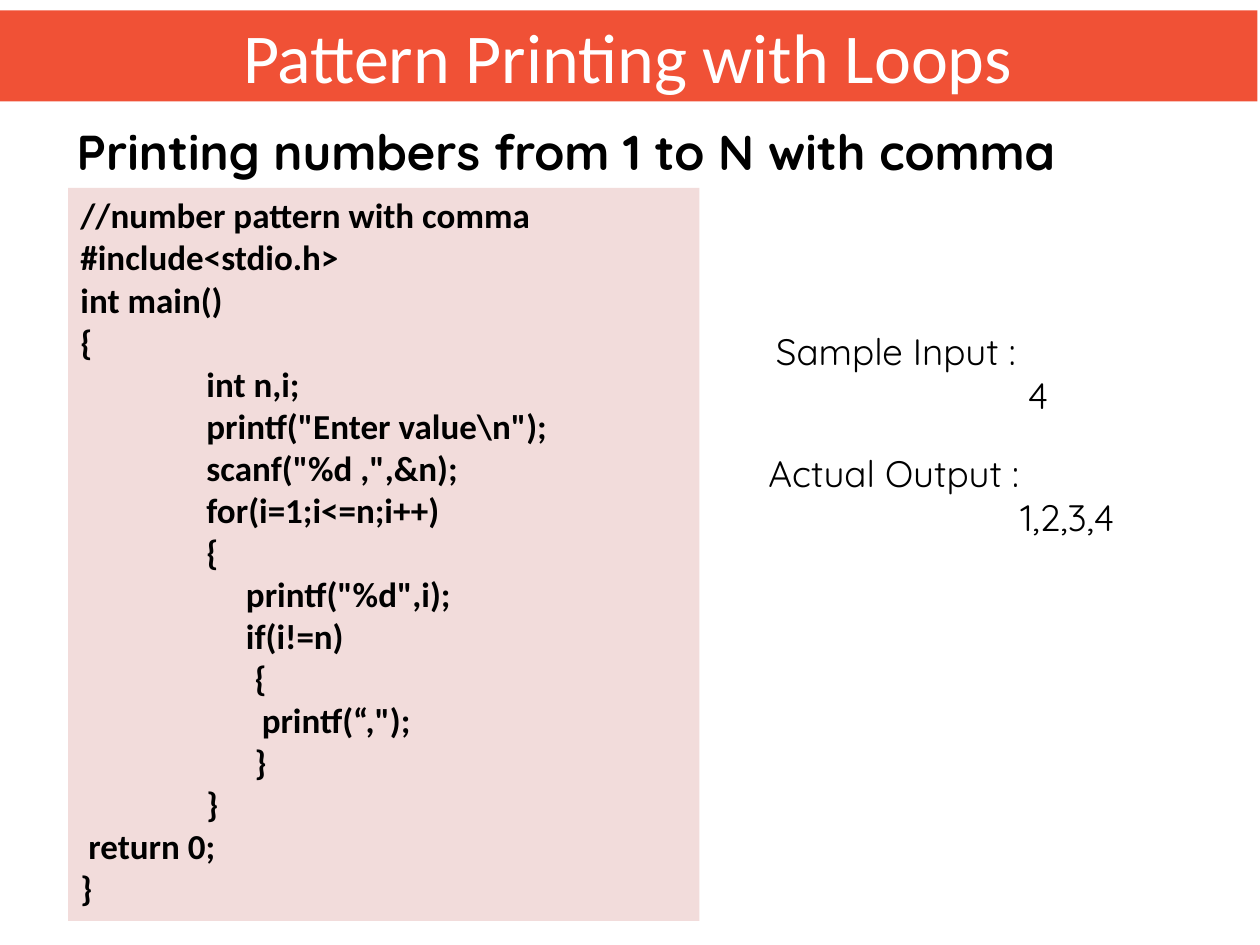
from pptx import Presentation
from pptx.dml.color import RGBColor
from pptx.enum import shapes, text
from pptx.util import Pt

ORANGE = RGBColor(0xF0, 0x51, 0x36)
PINK = RGBColor(0xF2, 0xDC, 0xDB)
BLACK = RGBColor(0, 0, 0)
WHITE = RGBColor(255, 255, 255)

TAB = 72  # one tab stop, in points

# Each line of the program with its indent in points
CODE = [
    (0, "//number pattern with comma"),
    (0, "#include<stdio.h>"),
    (0, "int main()"),
    (0, "{"),
    (TAB, "int n,i;"),
    (TAB, 'printf("Enter value\\n");'),
    (TAB, 'scanf("%d ,",&n);'),
    (TAB, "for(i=1;i<=n;i++)"),
    (TAB, "{"),
    (TAB + 22.6, 'printf("%d",i);'),
    (TAB + 22.6, "if(i!=n)"),
    (TAB + 27.5, "{"),
    (TAB + 31.6, 'printf(“,");'),
    (TAB + 27.5, "}"),
    (TAB, "}"),
    (4.5, "return 0;"),
    (0, "}"),
]


def write_lines(frame, lines, font, size, color=BLACK, bold=False,
                align=text.PP_ALIGN.LEFT):
    """Fill a frame with (indent, wording) lines."""
    frame.word_wrap = True
    for number, (indent, wording) in enumerate(lines):
        line = frame.paragraphs[0] if number == 0 else frame.add_paragraph()
        line.text = wording
        line.alignment = align
        if indent:
            properties = line._p.get_or_add_pPr()
            properties.set("marL", str(Pt(indent)))
            properties.set("indent", "0")
        style = line.runs[0].font
        style.name, style.size, style.bold = font, Pt(size), bold
        style.color.rgb = color


def add_panel(slide, box, fill, anchor):
    panel = slide.shapes.add_shape(shapes.MSO_SHAPE.RECTANGLE, *map(Pt, box))
    panel.shadow.inherit = False
    panel.fill.solid()
    panel.fill.fore_color.rgb = fill
    panel.line.fill.background()
    panel.text_frame.vertical_anchor = anchor
    return panel.text_frame


def add_title_band(slide, box, title):
    band = add_panel(slide, box, ORANGE, text.MSO_ANCHOR.MIDDLE)
    write_lines(band, [(0, title)], "Calibri", 40, WHITE,
                align=text.PP_ALIGN.CENTER)


def add_code_panel(slide, box, code):
    listing = add_panel(slide, box, PINK, text.MSO_ANCHOR.TOP)
    write_lines(listing, code, "Calibri", 20, bold=True)


def add_heading(slide, box, wording):
    heading = slide.shapes.add_textbox(*map(Pt, box)).text_frame
    write_lines(heading, [(0, wording)], "Quicksand", 28, bold=True)


def add_sample(slide, box, label, value):
    sample = slide.shapes.add_textbox(*map(Pt, box)).text_frame
    write_lines(sample, [(0, label), (2 * TAB, value)], "Quicksand", 21)


def main():
    deck = Presentation()
    deck.slide_width, deck.slide_height = Pt(720), Pt(540)
    slide = deck.slides.add_slide(deck.slide_layouts[6])

    # Title and heading
    add_title_band(slide, (-1.4, 6, 720, 52), "Pattern Printing with Loops")
    add_heading(slide, (36.7, 66.2, 646.6, 41),
                "Printing numbers from 1 to N with comma")

    # Program on the left, sample run on the right
    add_code_panel(slide, (38.9, 107.3, 360.7, 419), CODE)
    add_sample(slide, (436.3, 184.3, 279.4, 58.3), "Sample Input :", "4")
    add_sample(slide, (432, 254.2, 279.4, 58.3), "Actual Output :", "1,2,3,4")

    deck.save("out.pptx")


if __name__ == "__main__":
    main()
